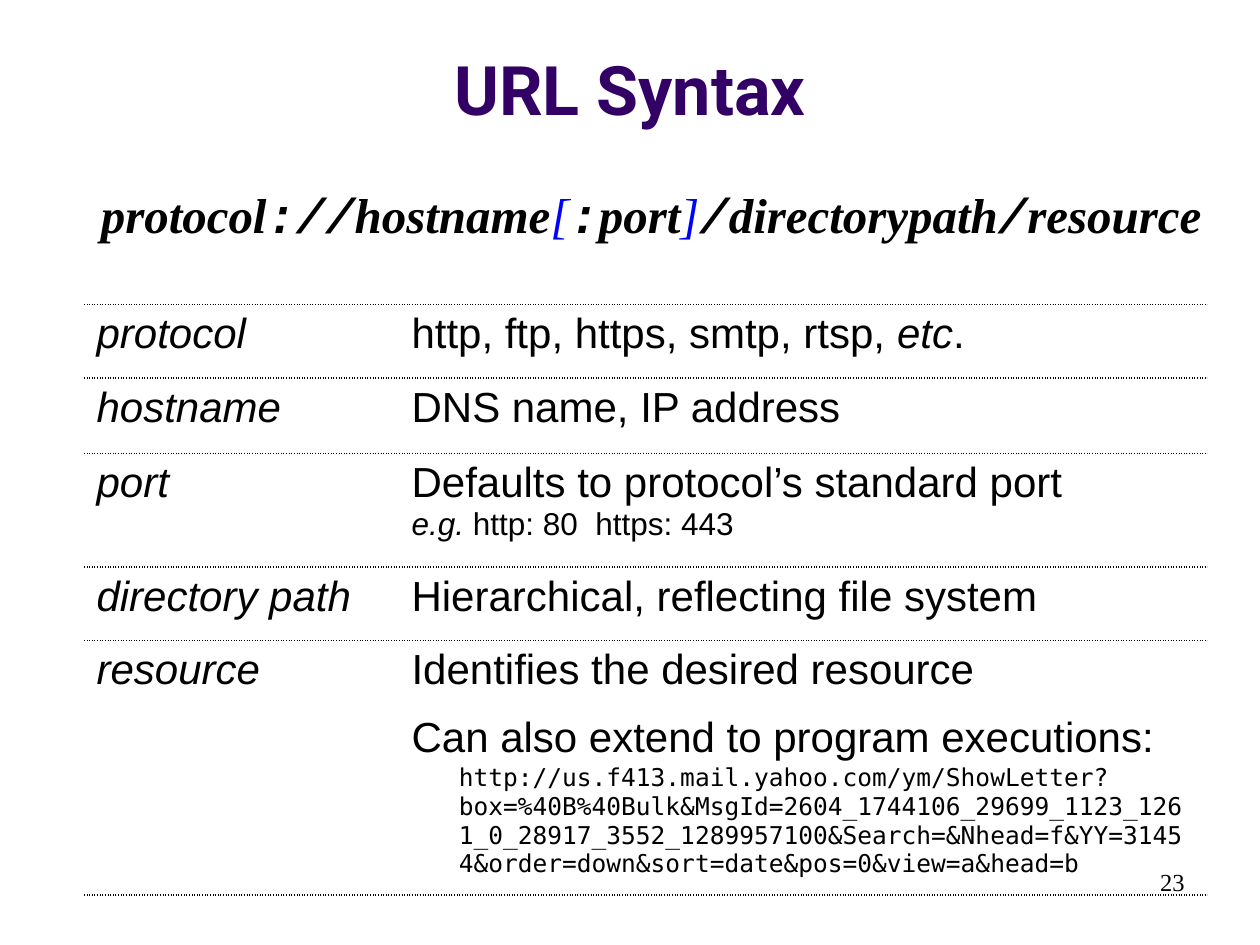
import dataclasses
import typing

import lxml.etree
import pptx
import pptx.dml.color
import pptx.enum.text
import pptx.oxml.ns
import pptx.util

Pt = pptx.util.Pt
ALIGN = pptx.enum.text.PP_ALIGN


@dataclasses.dataclass(frozen=True)
class Theme:
    ink: str = "000000"
    head: str = "330066"
    mark: str = "0000FF"
    sans: str = "Arial"
    serif: str = "Times New Roman"
    mono: str = "Courier New"
    code: str = "DejaVu Sans Mono"
    title: str = "Roboto"
    huge: int = 39
    large: int = 28
    base: int = 24
    note: int = 18
    small: int = 14


T = Theme()


@dataclasses.dataclass(frozen=True)
class Run:
    text: str
    form: dict
    ink: str = T.ink


@dataclasses.dataclass(frozen=True)
class Para:
    runs: list[Run]
    form: dict = dataclasses.field(default_factory=dict)
    left: float = 0


class Box(typing.NamedTuple):
    left: float
    top: float
    width: float
    height: float


def unit(count: float) -> int:
    """Length of grid steps: the slide is 120 by 90 of them."""
    return pptx.util.Inches(count / 12)


def style(item: object, form: dict) -> None:
    for name, value in form.items():
        setattr(item, name, value)


def write(frame, paras: list[Para]) -> None:
    for i, para in enumerate(paras):
        line = frame.paragraphs[0] if i == 0 else frame.add_paragraph()
        style(line, para.form)
        if para.left:
            props = line._p.get_or_add_pPr()
            props.set("marL", str(unit(para.left)))
            props.set("indent", "0")
        for part in para.runs:
            for j, text in enumerate(part.text.split("\n")):
                if j:
                    line.add_line_break()
                if text:
                    run = line.add_run()
                    run.text = text
                    style(run.font, part.form)
                    run.font.color.rgb = pptx.dml.color.RGBColor.from_string(part.ink)


def label(slide, box: Box, para: Para, anchor: str = "TOP") -> None:
    frame = slide.shapes.add_textbox(*map(unit, box)).text_frame
    style(frame, {"word_wrap": True,
                  "vertical_anchor": pptx.enum.text.MSO_ANCHOR[anchor]})
    write(frame, [para])


def border(cell) -> None:
    """Dotted rules above and below, none at the sides."""
    cell.fill.background()
    props = cell._tc.get_or_add_tcPr()
    qn = pptx.oxml.ns.qn
    for i, side in enumerate("LRTB"):
        rule = lxml.etree.Element(qn(f"a:ln{side}"), w=str(Pt(1)))
        if side in "LR":
            lxml.etree.SubElement(rule, qn("a:noFill"))
        else:
            fill = lxml.etree.SubElement(rule, qn("a:solidFill"))
            lxml.etree.SubElement(fill, qn("a:srgbClr"), val=T.ink)
            lxml.etree.SubElement(rule, qn("a:prstDash"), val="sysDot")
        props.insert(i, rule)


def plain(text: str, size: int = T.base, italic: bool = False) -> Run:
    return Run(text, {"name": T.sans, "size": Pt(size), "italic": italic})


def term(text: str) -> Run:
    return Run(text, {"name": T.serif, "size": Pt(T.large), "bold": True, "italic": True})


def sign(text: str) -> Run:
    return Run(text, {**term(text).form, "name": T.mono})


def mark(text: str) -> Run:
    return Run(text, {**term(text).form, "bold": False}, T.mark)


URL = ("http://us.f413.mail.yahoo.com/ym/ShowLetter?box=%40B%40Bulk"
       "&MsgId=2604_1744106_29699_1123_1261_0_28917_3552_1289957100"
       "&Search=&Nhead=f&YY=31454&order=down&sort=date&pos=0&view=a&head=b")

COLS = [30, 77]

# Height in grid steps, term, meaning
ROWS = [
    (7, "protocol", [Para([plain("http, ftp, https, smtp, rtsp, "),
                           plain("etc", italic=True), plain(".")])]),
    (7.2, "hostname", [Para([plain("DNS name, IP address")])]),
    (10.8, "port", [Para([plain("Defaults to protocol’s standard port\n"),
                          plain("e.g.", T.note, True),
                          plain(" http: 80  https: 443", T.note)])]),
    (7, "directory path", [Para([plain("Hierarchical, reflecting file system")])]),
    (9.8, "resource", [
        Para([plain("Identifies the desired resource")]),
        Para([plain("Can also extend to program executions:")],
             {"space_before": Pt(12)}),
        Para([Run(URL, {"name": T.code, "size": Pt(T.small)})],
             {"level": 1, "space_before": Pt(1.4)}, 4.5),
    ]),
]


def chart(slide) -> None:
    high = sum(row[0] for row in ROWS)
    box = Box(8, 29, sum(COLS), high)
    grid = slide.shapes.add_table(len(ROWS), len(COLS), *map(unit, box)).table
    style(grid, {"first_row": False, "horz_banding": False})
    for col, width in zip(grid.columns, COLS):
        col.width = unit(width)
    for row, (height, name, paras) in zip(grid.rows, ROWS):
        row.height = unit(height)
        for cell, text in zip(row.cells, ([Para([plain(name, italic=True)])], paras)):
            write(cell.text_frame, text)
            border(cell)


def main() -> None:
    deck = pptx.Presentation()
    style(deck, {"slide_width": unit(120), "slide_height": unit(90)})
    slide = deck.slides.add_slide(deck.slide_layouts[6])

    # Title
    head = Run("URL Syntax", {"name": T.title, "size": Pt(T.huge), "bold": True}, T.head)
    label(slide, Box(0, 1.5, 120, 11.4), Para([head], {"alignment": ALIGN.CENTER}), "BOTTOM")

    # Syntax line
    syntax = [term("protocol"), sign("://"), term("hostname"), mark("["), sign(":"),
              term("port"), mark("]"), sign("/"), term("directorypath"), sign("/"),
              term("resource")]
    label(slide, Box(6, 17, 112, 8), Para(syntax, {"alignment": ALIGN.CENTER}))

    # Page number
    page = Run("23", {"name": T.serif, "size": Pt(T.small)})
    label(slide, Box(86, 82, 28, 6), Para([page], {"alignment": ALIGN.RIGHT}))

    # Table of parts
    chart(slide)
    deck.save("out.pptx")


if __name__ == "__main__":
    main()
